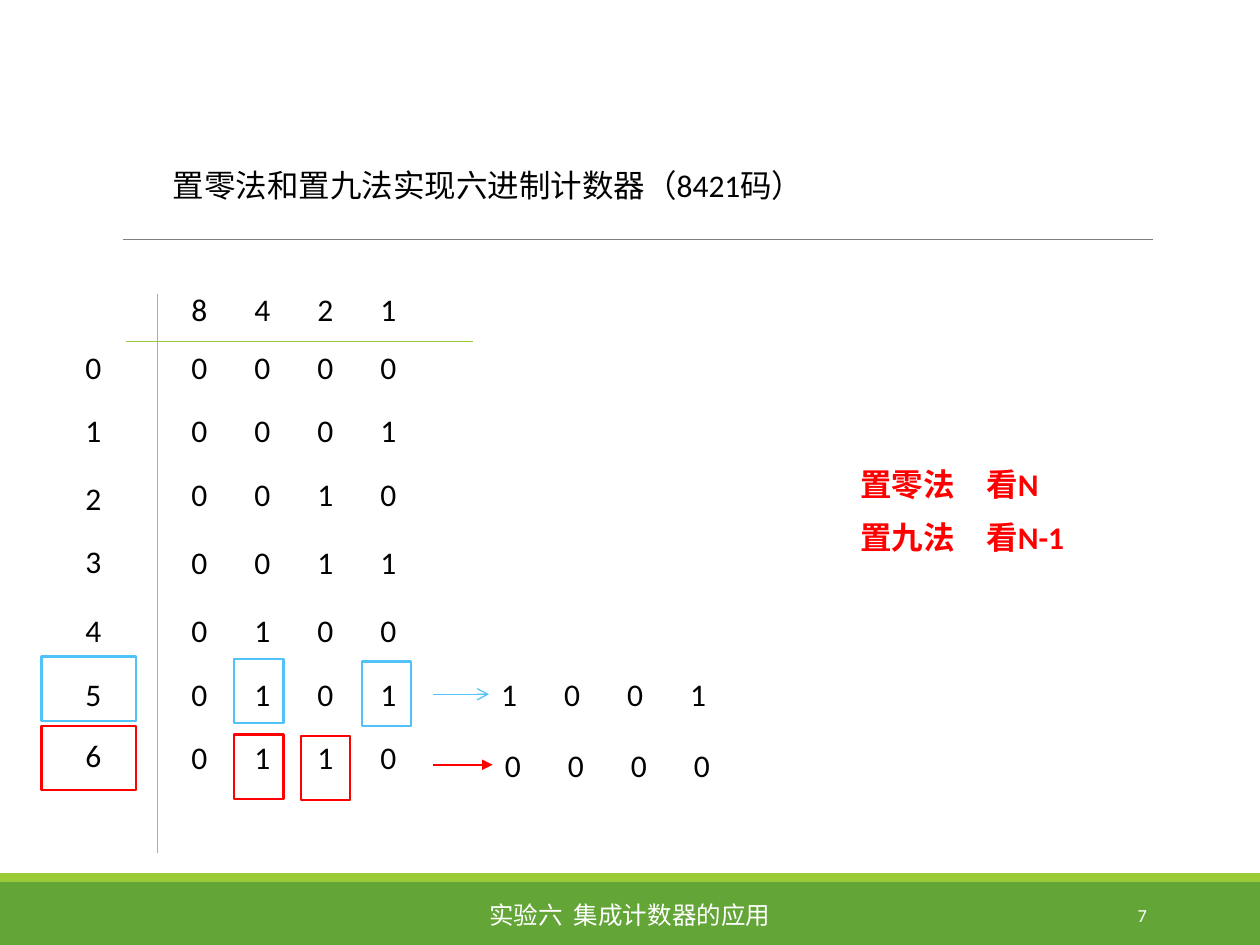
from lxml.etree import SubElement
from pptx import Presentation
from pptx.dml.color import RGBColor
from pptx.enum.shapes import MSO_CONNECTOR, MSO_SHAPE
from pptx.enum.text import MSO_ANCHOR, MSO_AUTO_SIZE, PP_ALIGN
from pptx.oxml.ns import qn
from pptx.util import Inches, Pt

COLUMNS, ROWS = 10, 7.5
CELL = Inches(1)
FONT = "Calibri"
COLORS = {"band": "63A537", "accent": "99CB38", "rule": "808080", "text": "000000",
          "light": "FFFFFF", "nine": "51C3F9", "zero": "FF0000"}
BITS_LEFT, LABEL_LEFT, TEXT_HEIGHT = 1.42, 0.58, 0.4
BITS_WIDTH = 1.84
BIT_TABS = (0.5, 1, 1.5)
CODE_TOPS = (2.71, 3.21, 3.72, 4.26, 4.8, 5.31, 5.81)
LABEL_TOPS = (2.71, 3.21, 3.75, 4.25, 4.8, 5.31, 5.79)
MARK_HEIGHT = 0.51
MARKS = {
    "nine": ((0.33, 5.21, 0.75), (1.86, 5.23, 0.39), (2.87, 5.25, 0.39)),
    "zero": ((0.33, 5.76, 0.75), (1.86, 5.83, 0.39), (2.39, 5.84, 0.39)),
}


def grid(*cells):
    return [round(cell * CELL) for cell in cells]


def color(name):
    return RGBColor.from_string(COLORS[name])


def fill_text(box, text, size=18, ink="text", bold=False, align=PP_ALIGN.LEFT,
              anchor=MSO_ANCHOR.TOP, wrap=True, grow=True, indent=0, tabs=(), gap=0):
    frame = box.text_frame
    frame.word_wrap = wrap
    frame.auto_size = MSO_AUTO_SIZE.SHAPE_TO_FIT_TEXT if grow else MSO_AUTO_SIZE.NONE
    frame.vertical_anchor = anchor
    for index, line in enumerate(text.split("\n")):
        para = frame.add_paragraph() if index else frame.paragraphs[0]
        para.alignment = align
        para.space_before = Pt(gap if index else 0)
        properties = para._p.get_or_add_pPr()
        if indent:
            properties.set("marL", "0")
            properties.set("indent", str(round(indent * CELL)))
        if tabs:
            stops = SubElement(properties, qn("a:tabLst"))
            for tab in tabs:
                SubElement(stops, qn("a:tab"), pos=str(round(tab * CELL)), algn="l")
        span = para.add_run()
        span.text = line
        span.font.name = FONT
        span.font.size = Pt(size)
        span.font.bold = bold
        span.font.color.rgb = color(ink)


def add_text(page, text, left, top, width, height=TEXT_HEIGHT, **style):
    box = page.shapes.add_textbox(*grid(left, top, width, height))
    fill_text(box, text, **style)
    return box


def add_bits(page, bits, left, top):
    return add_text(page, "\t".join(bits), left, top, BITS_WIDTH, wrap=False, tabs=BIT_TABS)


def add_block(page, left, top, width, height, fill=None, line=None):
    block = page.shapes.add_shape(MSO_SHAPE.RECTANGLE, *grid(left, top, width, height))
    block.shadow.inherit = False
    if fill:
        block.fill.solid()
        block.fill.fore_color.rgb = color(fill)
    else:
        block.fill.background()
    if line:
        block.line.color.rgb = color(line)
        block.line.width = Pt(1.25)
    else:
        block.line.fill.background()


def add_line(page, start, end, ink, width=1, target=None, head=None):
    line = page.shapes.add_connector(MSO_CONNECTOR.STRAIGHT, *grid(*start, *end))
    line.line.color.rgb = color(ink)
    line.line.width = Pt(width)
    if head:
        SubElement(line.line._get_or_add_ln(), qn("a:tailEnd"), type=head)
    SubElement(line._element.spPr, qn("a:effectLst"))
    if target is not None:
        line.end_connect(target, 1)


def add_footer(page):
    add_block(page, 0, 7, COLUMNS, 0.5, fill="band")
    add_block(page, 0, 6.93, COLUMNS, 0.07, fill="accent")
    style = {"ink": "light", "anchor": MSO_ANCHOR.MIDDLE, "grow": False}
    add_text(page, "实验六  集成计数器的应用", 3.02, 7.06, 3.96,
             size=14, align=PP_ALIGN.CENTER, **style)
    add_text(page, "7", 8.12, 7.06, 1.08, size=10.5, align=PP_ALIGN.RIGHT, **style)


def add_title(page):
    title = page.shapes.title
    title.left, title.top, title.width, title.height = grid(0.77, 1.27, 8.11, TEXT_HEIGHT)
    fill_text(title, "置零法和置九法实现六进制计数器（8421码）", indent=0.5)
    add_line(page, (0.98, 1.9), (9.15, 1.9), "rule", 0.5)


def add_code_table(page):
    add_bits(page, "8421", BITS_LEFT, 2.25)
    for number, (code_top, label_top) in enumerate(zip(CODE_TOPS, LABEL_TOPS)):
        add_bits(page, f"{number:04b}", BITS_LEFT, code_top)
        add_text(page, str(number), LABEL_LEFT, label_top, 0.33, wrap=False)
    add_line(page, (1, 2.71), (3.75, 2.71), "accent")
    add_line(page, (1.25, 2.33), (1.25, 6.77), "accent")


def add_reset(page, method, bits, left, top, width, head):
    for mark_left, mark_top, mark_width in MARKS[method]:
        add_block(page, mark_left, mark_top, mark_width, MARK_HEIGHT, line=method)
    result = add_bits(page, bits, left, top)
    middle = top + TEXT_HEIGHT / 2
    add_line(page, (3.44, middle), (left, middle), method, width, result, head)


def main():
    deck = Presentation()
    deck.slide_width, deck.slide_height = grid(COLUMNS, ROWS)
    page = deck.slides.add_slide(deck.slide_layouts[5])
    add_footer(page)
    add_title(page)
    add_code_table(page)
    add_reset(page, "nine", "1001", 3.88, 5.31, 0.75, "arrow")
    add_reset(page, "zero", "0000", 3.91, 5.87, 1, "triangle")
    add_text(page, "置零法\t看N\n置九法\t看N-1", 6.23, 3.64, 3.02, 0.86,
             ink="zero", bold=True, indent=0.5, tabs=(1.5,), gap=9)
    deck.save("out.pptx")


if __name__ == "__main__":
    main()
